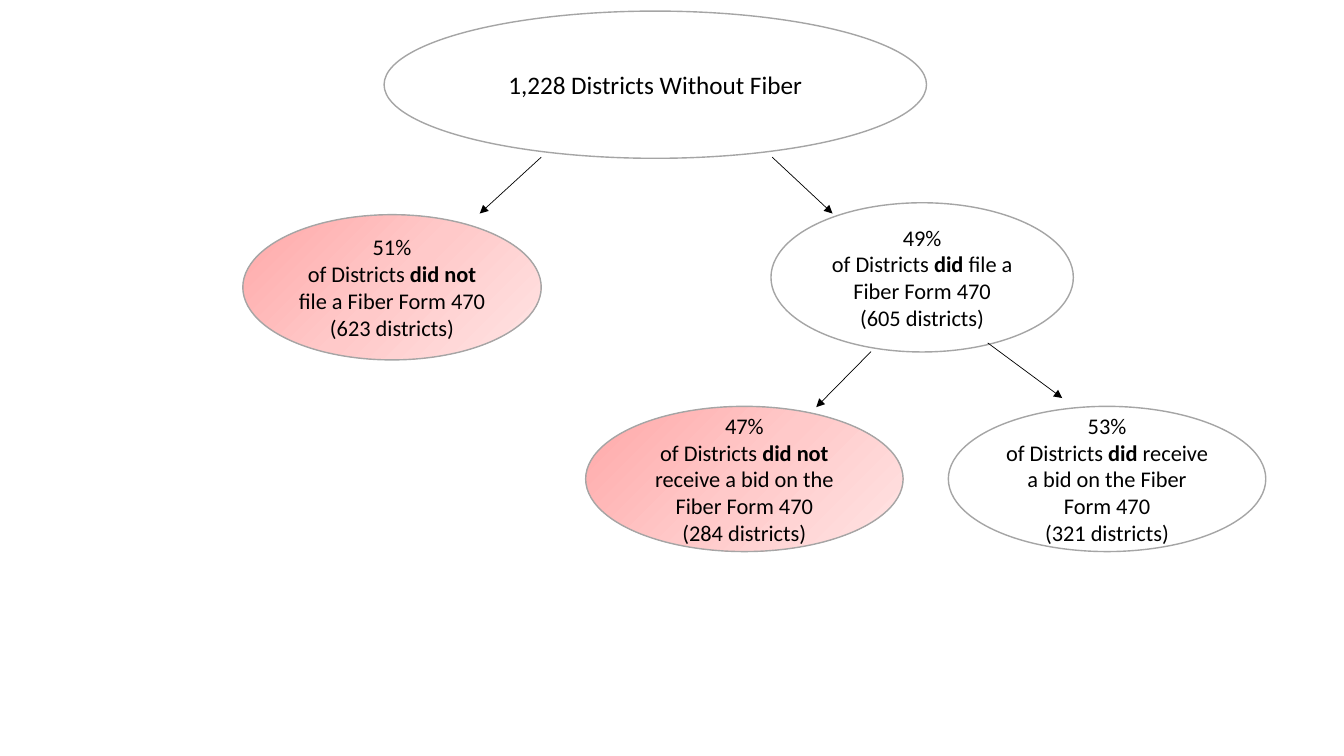
from lxml.etree import SubElement
from pptx import Presentation
from pptx.dml.color import RGBColor
from pptx.enum.shapes import MSO_CONNECTOR, MSO_SHAPE
from pptx.enum.text import MSO_ANCHOR, PP_ALIGN
from pptx.oxml.ns import qn
from pptx.util import Cm, Pt

COLORS = {
    "text": "000000",
    "arrow": "000000",
    "outline": "A5A5A5",
    "plain": "FFFFFF",
    "red_dark": "FFA7A7",
    "red_mid": "FFC9C9",
    "red_light": "FFE5E5",
}


class TreeSlide:
    """Holds the style and the current slide of the decision tree."""

    font = "Calibri"

    def __init__(self, slide):
        """Keep the slide to draw on."""
        self.slide = slide

    def rgb(self, name):
        """Return a named colour."""
        return RGBColor.from_string(COLORS[name])

    def red_gradient(self, sp):
        """Fill a shape with the diagonal three-stop red gradient."""
        sp.fill.gradient()
        sp.fill.gradient_angle = 315
        stops = next(sp._element.spPr.iter(qn("a:gsLst")))
        for stop in list(stops):
            stops.remove(stop)
        for i, name in enumerate(("red_dark", "red_mid", "red_light")):
            stop = SubElement(stops, qn("a:gs"), pos=str(i * 50000))
            SubElement(stop, qn("a:srgbClr"), val=COLORS[name])

    def oval(self, box, paragraphs, size=16, red=False):
        """Add an ellipse; each paragraph is a list of (text, bold) runs."""
        sp = self.slide.shapes.add_shape(MSO_SHAPE.OVAL, *map(Cm, box))
        sp.shadow.inherit = False
        if red:
            self.red_gradient(sp)
        else:
            sp.fill.solid()
            sp.fill.fore_color.rgb = self.rgb("plain")
        sp.line.color.rgb = self.rgb("outline")
        sp.line.width = Pt(1)
        tf = sp.text_frame
        tf.word_wrap = True
        tf.vertical_anchor = MSO_ANCHOR.MIDDLE
        for i, runs in enumerate(paragraphs):
            p = tf.add_paragraph() if i else tf.paragraphs[0]
            p.alignment = PP_ALIGN.CENTER
            for text, bold in runs:
                self.run(p, text, size, bold)

    def run(self, p, text, size, bold):
        """Add one run, or a line break when the text is a newline."""
        if text == "\n":
            p.add_line_break()
            return
        r = p.add_run()
        r.text = text
        r.font.name = self.font
        r.font.size = Pt(size)
        r.font.bold = bold
        r.font.color.rgb = self.rgb("text")

    def branch(self, box, percent, verb, action, count, red=False):
        """Add the oval of one outcome."""
        share = [(percent, False), ("\n", False), ("of Districts ", False),
                 (verb, True), (f" {action}", False)]
        self.oval(box, [share, [(f"({count} districts)", False)]], red=red)

    def arrow(self, x1, y1, x2, y2):
        """Add a thin arrow pointing at its second end."""
        line = self.slide.shapes.add_connector(
            MSO_CONNECTOR.STRAIGHT, Cm(x1), Cm(y1), Cm(x2), Cm(y2))
        line.line.color.rgb = self.rgb("arrow")
        line.line.width = Pt(0.5)
        SubElement(line.line._get_or_add_ln(), qn("a:tailEnd"), type="triangle")
        SubElement(line._element.spPr, qn("a:effectLst"))


def main():
    """Build the slide and save it."""
    prs = Presentation()
    prs.slide_width, prs.slide_height = Cm(33.87), Cm(19.05)
    s = TreeSlide(prs.slides.add_slide(prs.slide_layouts[6]))

    s.oval((9.68, 0.28, 13.67, 3.71),
           [[("1,228 Districts Without Fiber", False)]], size=18)

    filing = "file a Fiber Form 470"
    s.branch((6.12, 5.41, 7.52, 3.66), "51%", "did not", filing, 623, red=True)
    s.branch((19.43, 5.11, 7.62, 3.76), "49%", "did", filing, 605)

    bid = "receive a bid on the Fiber Form 470"
    s.branch((14.76, 10.24, 8, 3.66), "47%", "did not", bid, 284, red=True)
    s.branch((23.9, 10.24, 8, 3.66), "53%", "did", bid, 321)

    for ends in ((13.64, 3.96, 12.09, 5.38), (19.46, 3.96, 20.98, 5.38),
                 (21.95, 8.86, 20.57, 10.26), (24.89, 8.64, 26.77, 10.03)):
        s.arrow(*ends)

    prs.save("out.pptx")


main()
